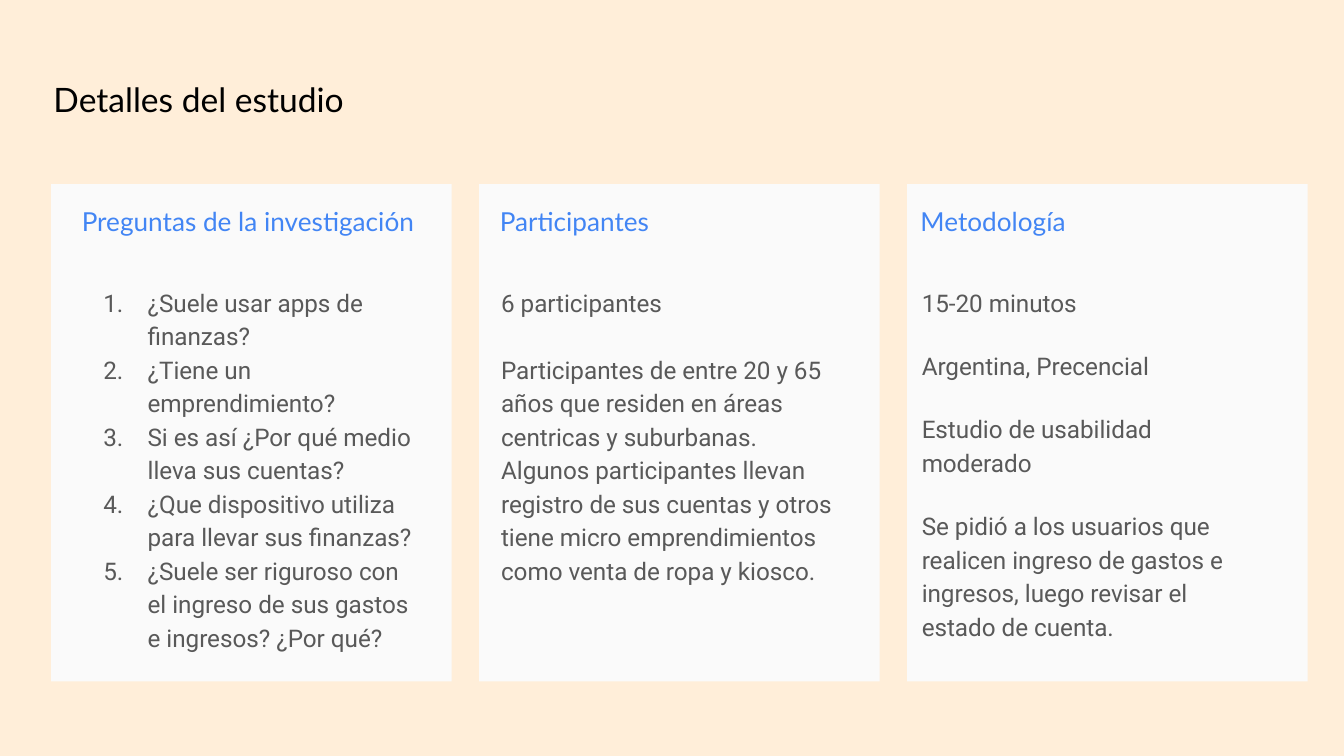
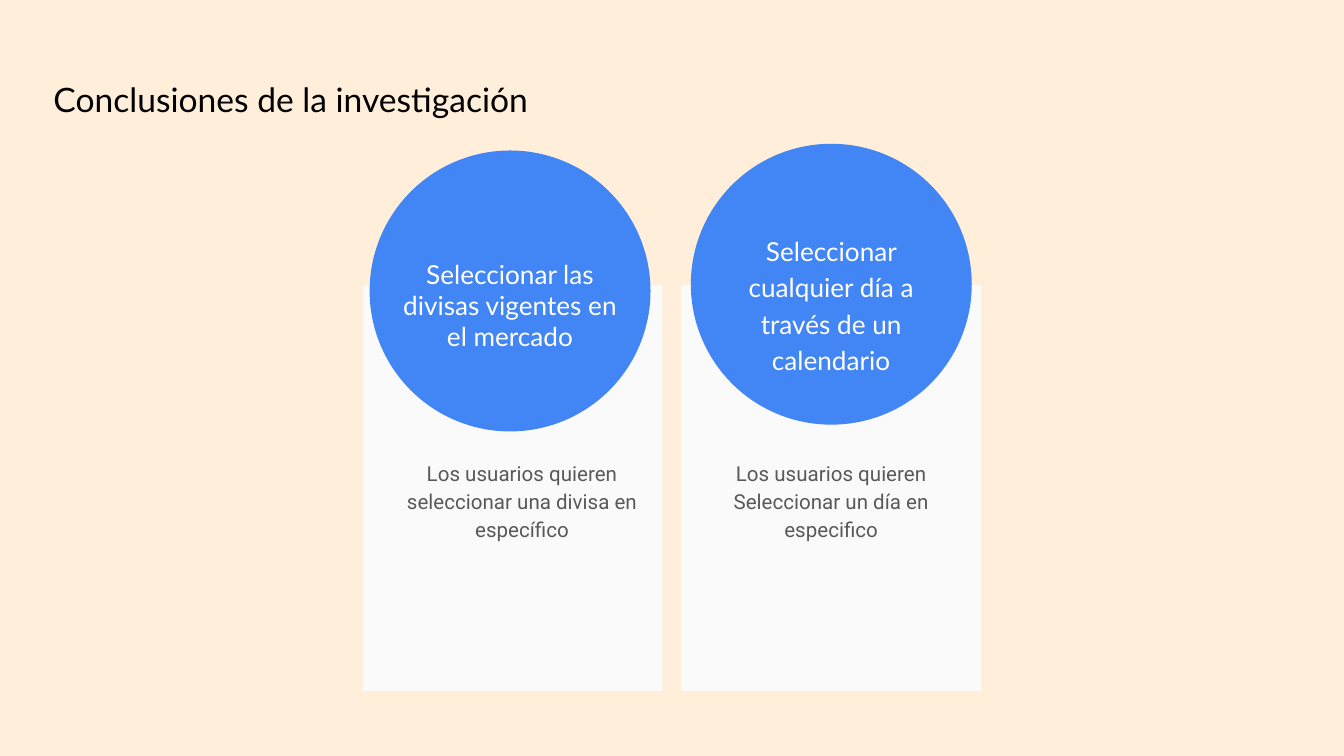
"""Build two slides of a user study: its details and its conclusions."""
from lxml.etree import SubElement
from pptx import Presentation
from pptx.dml.color import RGBColor
from pptx.enum.shapes import MSO_SHAPE as Shape
from pptx.enum.text import PP_ALIGN as Align, MSO_ANCHOR as Anchor
from pptx.oxml.ns import qn
from pptx.util import Inches, Pt

CREAM, PALE, BLUE = "FFEED9", "FAFAFA", "4285F4"
GREY, BLACK, WHITE = "595959", "000000", "FFFFFF"
HEADING_FONT, BODY_FONT = "Lato", "Roboto"

deck = Presentation()
deck.slide_width = Inches(10)
deck.slide_height = deck.slide_width * 9 // 16
CELL = deck.slide_width / 100


def add_panel(page, kind, place, color):
    """Draw a plain filled shape; place is left, top, width, height in cells."""
    panel = page.shapes.add_shape(kind, *[round(n * CELL) for n in place])
    panel.shadow.inherit = False
    panel.fill.solid()
    panel.fill.fore_color.rgb = RGBColor.from_string(color)
    panel.line.fill.background()


def add_text(page, place, lines, size, font, color, spacing=1.15,
             gap=0, align=Align.LEFT, inset_top=1, numbered=False):
    """Write one paragraph per line; place and inset_top are in cells."""
    box = page.shapes.add_textbox(*[round(n * CELL) for n in place])
    frame = box.text_frame
    frame.word_wrap = True
    frame.vertical_anchor = Anchor.TOP
    frame.margin_left = frame.margin_right = frame.margin_bottom = round(CELL)
    frame.margin_top = round(inset_top * CELL)
    for index, line in enumerate(lines):
        para = frame.add_paragraph() if index else frame.paragraphs[0]
        para.alignment = align
        para.line_spacing = spacing
        para.space_before = Pt(gap if index else 0)
        if numbered:
            props = para._p.get_or_add_pPr()
            props.set("marL", str(Inches(0.5)))
            props.set("indent", str(-Inches(0.33)))
            bullet_color = SubElement(props, qn("a:buClr"))
            SubElement(bullet_color, qn("a:srgbClr")).set("val", color)
            SubElement(props, qn("a:buAutoNum")).set("type", "arabicPeriod")
        span = para.add_run()
        span.text = line
        span.font.size = Pt(size)
        span.font.name = font
        span.font.color.rgb = RGBColor.from_string(color)


pages = []
for title, width, height in (("Detalles del estudio", 60.4, 7.2),
                             ("Conclusiones de la investigación", 50.4, 5.3)):
    page = deck.slides.add_slide(deck.slide_layouts[6])
    page.background.fill.solid()
    page.background.fill.fore_color.rgb = RGBColor.from_string(CREAM)
    add_text(page, (3, 4.4, width, height), [title], 18, HEADING_FONT, BLACK)
    pages.append(page)
details, conclusions = pages

study_cards = [
    (5.1, 5, 28.5, "Preguntas de la investigación", 0, True, [
        "¿Suele usar apps de finanzas?",
        "¿Tiene un emprendimiento?",
        "Si es así ¿Por qué medio lleva sus cuentas?",
        "¿Que dispositivo utiliza para llevar sus finanzas?",
        "¿Suele ser riguroso con el ingreso de sus gastos e ingresos? ¿Por qué?",
    ]),
    (36.2, 36.3, 24.2, "Participantes", 18, False, [
        "6 participantes",
        "Participantes de entre 20 y 65 años que residen en áreas centricas y "
        "suburbanas. Algunos participantes llevan registro de sus cuentas y "
        "otros tiene micro emprendimientos como venta de ropa y kiosco.",
    ]),
    (67.5, 67.6, 24.2, "Metodología", 16, False, [
        "15-20 minutos",
        "Argentina, Precencial",
        "Estudio de usabilidad moderado",
        "Se pidió a los usuarios que realicen ingreso de gastos e ingresos, "
        "luego revisar el estado de cuenta.",
    ]),
]
for column, card in enumerate(study_cards):
    heading_left, body_left, body_height, heading, gap, numbered, lines = card
    add_panel(details, Shape.RECTANGLE, (3.8 + 31.85 * column, 13.7, 29.8, 37), PALE)
    add_text(details, (heading_left, 14.3, 27.1, 3.1), [heading], 14,
             HEADING_FONT, BLUE, spacing=1)
    add_text(details, (body_left, 20.1, 27.1, body_height), lines, 13,
             BODY_FONT, GREY, gap=gap, numbered=numbered)

findings = [
    ((27.5, 11.2), (28.2, 18.2), 1, 29.1,
     "Seleccionar las divisas vigentes en el mercado",
     "Los usuarios quieren seleccionar una divisa en específico"),
    ((51.4, 10.7), (52.1, 16.2), 1.15, 52.1,
     "Seleccionar cualquier día a través de un calendario",
     "Los usuarios quieren Seleccionar un día en especifico"),
]
for column, finding in enumerate(findings):
    circle, label, spacing, note_left, need, note = finding
    add_panel(conclusions, Shape.RECTANGLE, (27 + 23.7 * column, 21.2, 22.3, 30.2), PALE)
    add_panel(conclusions, Shape.OVAL, (*circle, 20.9, 20.9), BLUE)
    add_text(conclusions, (*label, 19.5, 5.9), [need], 14, HEADING_FONT, WHITE,
             spacing=spacing, align=Align.CENTER)
    add_text(conclusions, (note_left, 28.9, 19.5, 14.7), [note], 11, BODY_FONT,
             GREY, align=Align.CENTER, inset_top=5.1)

deck.save("out.pptx")
